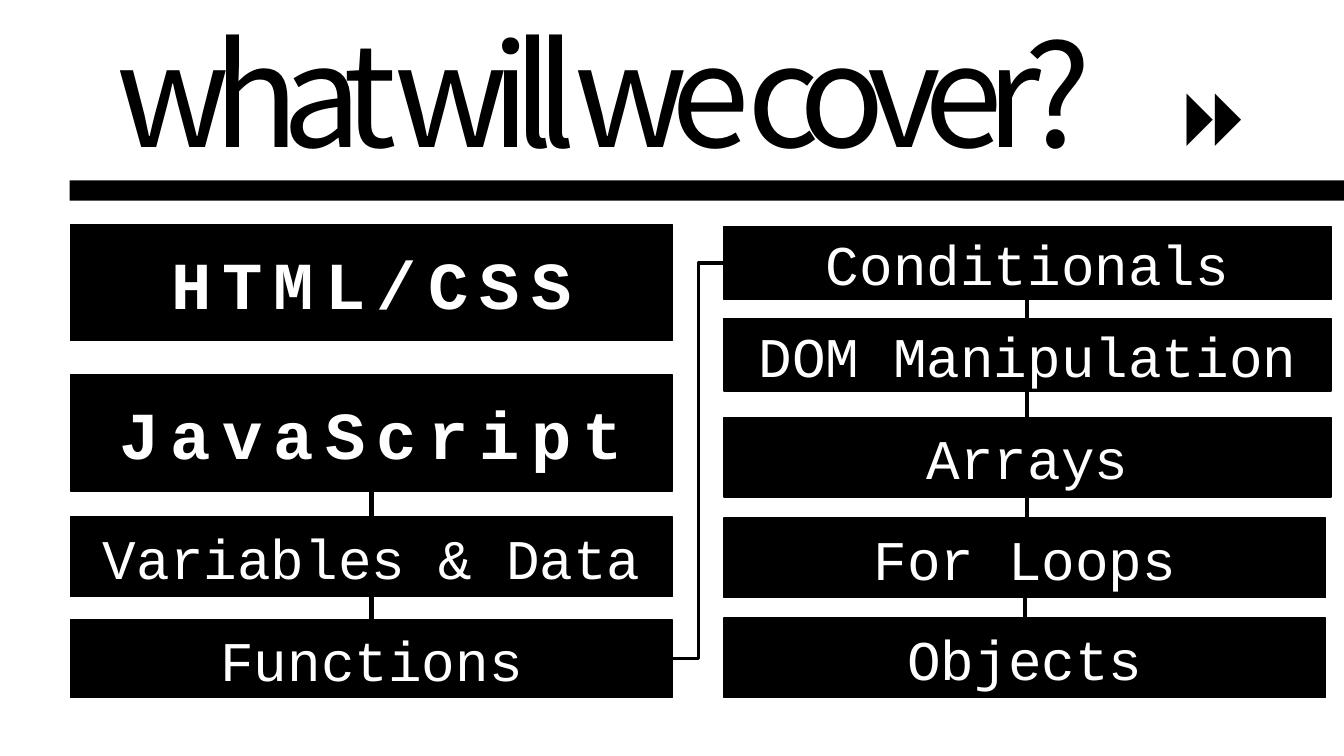
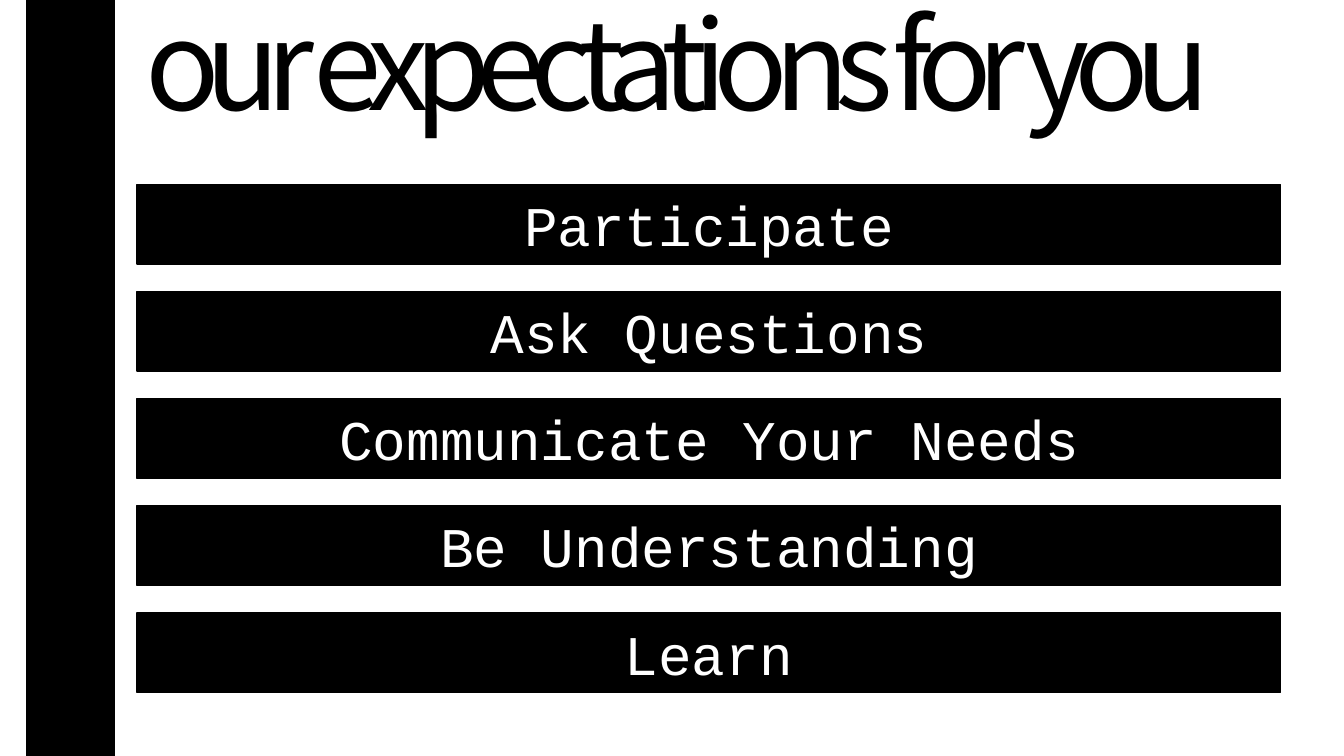
import pptx
import pptx.dml.color
import pptx.enum.shapes
import pptx.enum.text
import pptx.oxml.ns
import pptx.util
from lxml import etree

Inches = pptx.util.Inches
Pt = pptx.util.Pt
Align = pptx.enum.text.PP_ALIGN
Anchor = pptx.enum.text.MSO_ANCHOR
Connector = pptx.enum.shapes.MSO_CONNECTOR
qn = pptx.oxml.ns.qn

TOP, LEFT, BOTTOM, RIGHT = range(4)


def color(value):
    return pptx.dml.color.RGBColor.from_string(value)


def write(shape, text, font, size, ink, bold=False, spacing=0,
          align=Align.CENTER, anchor=Anchor.MIDDLE, line_height=None):
    frame = shape.text_frame
    frame.word_wrap = True
    frame.auto_size = pptx.enum.text.MSO_AUTO_SIZE.NONE
    frame.vertical_anchor = anchor
    paragraph = frame.paragraphs[0]
    paragraph.alignment = align
    if line_height:
        paragraph.line_spacing = Pt(line_height)
    run = paragraph.add_run()
    run.text = text
    run.font.name = font
    run.font.size = Pt(size)
    run.font.bold = bold
    run.font.color.rgb = color(ink)
    properties = run._r.get_or_add_rPr()
    properties.set("spc", str(spacing * 100))
    etree.SubElement(properties, qn("a:ea")).set("typeface", font)


class Deck:
    ink = "000000"
    paper = "FFFFFF"
    title_font = "Noto Sans CJK SC"
    box_font = "Courier New"
    symbol_font = "Noto Sans Mono"

    def __init__(self):
        self.presentation = pptx.Presentation()
        self.presentation.slide_width = Inches(13.33)
        self.presentation.slide_height = Inches(7.5)
        self.slide = None

    def add_slide(self):
        layout = self.presentation.slide_layouts.get_by_name("Title Only")
        self.slide = self.presentation.slides.add_slide(layout)
        self.slide.background.fill.solid()
        self.slide.background.fill.fore_color.rgb = color(self.paper)

    def title(self, text, left, top, width, height, size, spacing, align):
        shape = self.slide.shapes.title
        shape.left, shape.top = Inches(left), Inches(top)
        shape.width, shape.height = Inches(width), Inches(height)
        write(shape, text, self.title_font, size, self.ink, spacing=spacing,
              align=align, anchor=Anchor.BOTTOM, line_height=124)

    def band(self, left, top, width, height):
        shape = self.slide.shapes.add_shape(
            pptx.enum.shapes.MSO_SHAPE.RECTANGLE,
            Inches(left), Inches(top), Inches(width), Inches(height))
        shape.shadow.inherit = False
        shape.fill.solid()
        shape.fill.fore_color.rgb = color(self.ink)
        shape.line.fill.background()
        return shape

    def box(self, text, left, top, width, height, heading=False):
        shape = self.band(left, top, width, height)
        shape.line.color.rgb = color(self.ink)
        shape.line.width = Pt(1)
        write(shape, text, self.box_font, 48 if heading else 40, self.paper,
              bold=heading, spacing=8 if heading else 0)
        return shape

    def symbol(self, text, left, top, width, height):
        shape = self.slide.shapes.add_textbox(
            Inches(left), Inches(top), Inches(width), Inches(height))
        write(shape, text, self.symbol_font, 60, self.ink,
              align=Align.LEFT, anchor=Anchor.TOP)

    def connector(self, kind, begin_x, begin_y, end_x, end_y, weight):
        line = self.slide.shapes.add_connector(
            kind, begin_x, begin_y, end_x, end_y)
        line.line.color.rgb = color(self.ink)
        line.line.width = Pt(weight)
        etree.SubElement(line._element.spPr, qn("a:effectLst"))
        return line

    def link_down(self, upper, lower):
        middle = upper.left + upper.width // 2
        line = self.connector(Connector.STRAIGHT, middle,
                              upper.top + upper.height, middle, lower.top, 3)
        line.begin_connect(upper, BOTTOM)
        if lower.left + lower.width // 2 == middle:
            line.end_connect(lower, TOP)

    def link_across(self, source, target):
        line = self.connector(
            Connector.ELBOW, source.left + source.width,
            source.top + source.height // 2,
            target.left, target.top + target.height // 2, 2.25)
        line.begin_connect(source, RIGHT)
        line.end_connect(target, LEFT)


def build_topics(deck):
    deck.add_slide()
    deck.title("what will we cover?", 0.69, 0.33, 10.6, 1.46,
               size=101, spacing=-12, align=Align.CENTER)
    deck.band(0.69, 1.79, 12.64, 0.2)
    subjects = [deck.box(text, 0.7, top, 5.97, 1.15, heading=True)
                for text, top in (("HTML/CSS", 2.23), ("JavaScript", 3.72))]
    basics = [deck.box(text, 0.7, top, 5.97, height)
              for text, top, height in (("Variables & Data", 5.13, 0.79),
                                        ("Functions", 6.15, 0.77))]
    later = [deck.box(text, 7.18, top, width, height)
             for text, top, width, height in (
                 ("Conditionals", 2.25, 6.02, 0.72),
                 ("DOM Manipulation", 3.16, 6.02, 0.72),
                 ("Arrays", 4.14, 6.02, 0.79),
                 ("For Loops", 5.14, 5.97, 0.79),
                 ("Objects", 6.13, 5.97, 0.79))]
    for chain in (subjects[-1:] + basics, later):
        for upper, lower in zip(chain, chain[1:]):
            deck.link_down(upper, lower)
    deck.link_across(basics[-1], later[0])
    deck.symbol("⏩", 11.61, 0.53, 1.24, 1.11)


def build_expectations(deck):
    deck.add_slide()
    deck.title("our expectations for you", 1.34, 0.2, 11.99, 1.19,
               size=88, spacing=-10, align=Align.LEFT)
    deck.band(0.26, 0, 0.88, 7.5)
    expectations = ("Participate", "Ask Questions", "Communicate Your Needs",
                    "Be Understanding", "Learn")
    first_top, last_top = 1.83, 6.08
    step = (last_top - first_top) / (len(expectations) - 1)
    for row, text in enumerate(expectations):
        deck.box(text, 1.36, first_top + row * step, 11.34, 0.79)


def main():
    deck = Deck()
    build_topics(deck)
    build_expectations(deck)
    deck.presentation.save("out.pptx")


if __name__ == "__main__":
    main()
